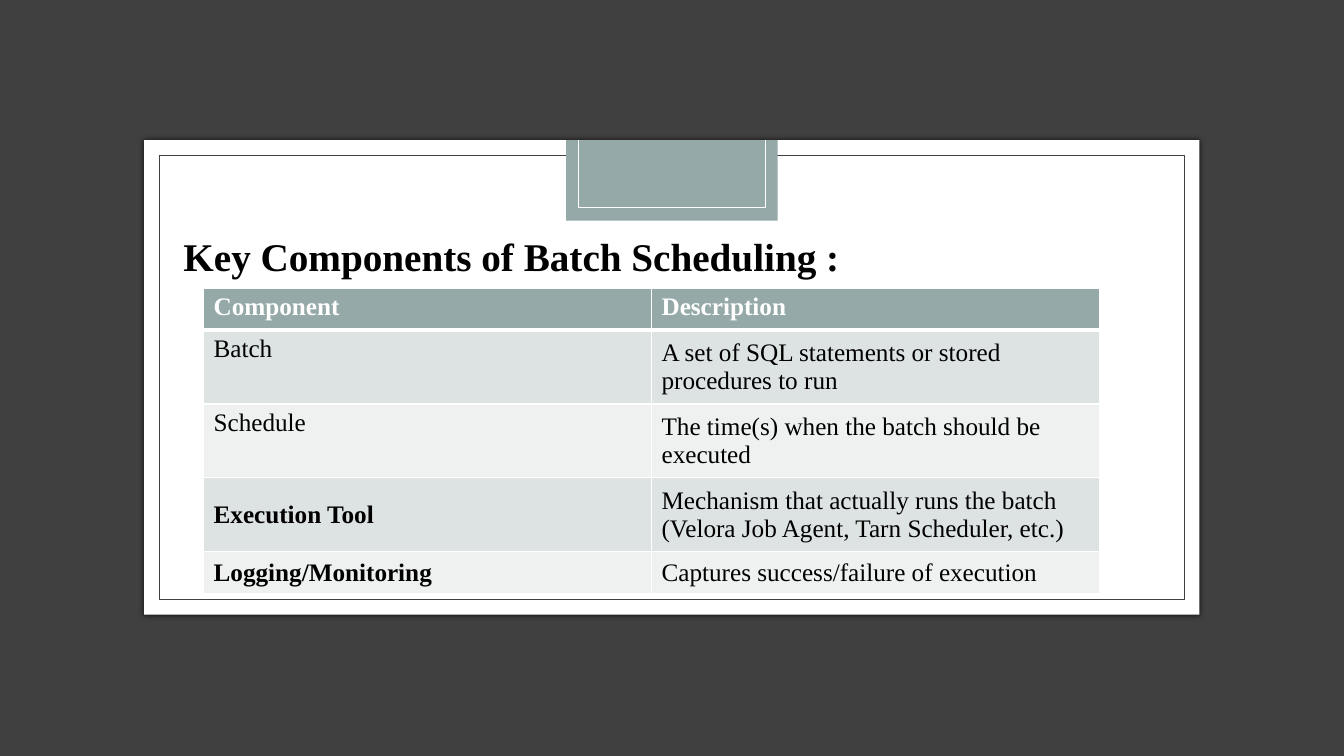
from dataclasses import dataclass
from typing import Optional

from lxml.etree import SubElement
from pptx import Presentation
from pptx.dml.color import RGBColor
from pptx.enum.shapes import MSO_CONNECTOR, MSO_SHAPE
from pptx.enum.text import MSO_ANCHOR, PP_ALIGN
from pptx.oxml import parse_xml
from pptx.oxml.ns import nsdecls, qn
from pptx.util import Cm, Pt

COLOURS = {
    "dark": "404040",
    "white": "FFFFFF",
    "sage": "96A9A9",
    "band": "DDE2E2",
    "pale": "EFF1F1",
    "black": "000000",
}
FONT = "Times New Roman"


@dataclass
class Panel:
    left: float
    top: float
    width: float
    height: float
    fill: Optional[str] = None
    line: Optional[str] = None
    glow: bool = False


@dataclass
class Rule:
    x1: float
    y1: float
    x2: float
    y2: float


@dataclass
class Row:
    component: str
    description: str
    height: float
    fill: str
    ink: str = "black"
    bold: tuple = (False, False)
    anchors: tuple = (MSO_ANCHOR.MIDDLE, MSO_ANCHOR.MIDDLE)


TOP_LEFT = (MSO_ANCHOR.TOP, MSO_ANCHOR.MIDDLE)
TOP_BOTH = (MSO_ANCHOR.TOP, MSO_ANCHOR.TOP)

PANELS = [
    Panel(0, 0, 33.87, 19.05, fill="dark"),
    Panel(3.63, 3.53, 26.6, 11.96, fill="white", glow=True),
    Panel(4.01, 3.91, 25.83, 11.2, line="dark"),
    Panel(14.27, 3.53, 5.33, 2.03, fill="sage"),
]
RULES = [
    Rule(14.58, 3.53, 14.58, 5.23),
    Rule(19.28, 3.53, 19.28, 5.23),
    Rule(14.58, 5.23, 19.28, 5.23),
]
ROWS = [
    Row("Component", "Description", 1.06, "sage", "white", (True, True), TOP_BOTH),
    Row("Batch", "A set of SQL statements or stored procedures to run",
        1.86, "band", anchors=TOP_LEFT),
    Row("Schedule", "The time(s) when the batch should be executed",
        1.86, "pale", anchors=TOP_LEFT),
    Row("Execution Tool",
        "Mechanism that actually runs the batch (Velora Job Agent, Tarn Scheduler, etc.)",
        1.86, "band", bold=(True, False)),
    Row("Logging/Monitoring", "Captures success/failure of execution",
        1.06, "pale", bold=(True, False)),
]


def colour(name: str) -> RGBColor:
    """Return the named colour."""
    return RGBColor.from_string(COLOURS[name])


def format_paragraph(paragraph, size: float, ink: str, bold: bool) -> None:
    """Set the font of a whole paragraph."""
    paragraph.alignment = PP_ALIGN.LEFT
    font = paragraph.font
    font.name, font.size, font.bold = FONT, Pt(size), bold
    font.color.rgb = colour(ink)


def draw_panel(page, panel: Panel) -> None:
    """Draw one rectangle of the background."""
    box = page.shapes.add_shape(
        MSO_SHAPE.RECTANGLE,
        Cm(panel.left), Cm(panel.top), Cm(panel.width), Cm(panel.height))
    box.shadow.inherit = False
    if panel.fill:
        box.fill.solid()
        box.fill.fore_color.rgb = colour(panel.fill)
    else:
        box.fill.background()
    if panel.line:
        box.line.color.rgb = colour(panel.line)
        box.line.width = Pt(0.5)
    else:
        box.line.fill.background()
    if panel.glow:
        effects = box._element.spPr.find(qn("a:effectLst"))
        effects.append(parse_xml(
            f'<a:outerShdw {nsdecls("a")} blurRad="{Pt(4)}" dist="0" dir="0">'
            f'<a:srgbClr val="{COLOURS["black"]}"><a:alpha val="66000"/></a:srgbClr>'
            '</a:outerShdw>'))


def draw_rule(page, rule: Rule) -> None:
    """Draw one thin white line on the tab."""
    line = page.shapes.add_connector(
        MSO_CONNECTOR.STRAIGHT, Cm(rule.x1), Cm(rule.y1), Cm(rule.x2), Cm(rule.y2))
    line.line.color.rgb = colour("white")
    line.line.width = Pt(0.5)
    SubElement(line._element.spPr, qn("a:effectLst"))


def write_title(page, text: str) -> None:
    """Place the title above the background panels."""
    title = page.shapes.title
    title.left, title.top, title.width, title.height = Cm(4.37), Cm(5.72), Cm(25.1), Cm(1.45)
    frame = title.text_frame
    frame.text = text
    frame.word_wrap = True
    frame.vertical_anchor = MSO_ANCHOR.TOP
    format_paragraph(frame.paragraphs[0], 28, "black", True)
    page.shapes._spTree.append(title._element)


def set_borders(cell, top: float, bottom: float) -> None:
    """Give a cell white borders."""
    properties = cell._tc.get_or_add_tcPr()
    for side, width in {"L": 1, "R": 1, "T": top, "B": bottom}.items():
        properties.append(parse_xml(
            f'<a:ln{side} {nsdecls("a")} w="{Pt(width)}"><a:solidFill>'
            f'<a:srgbClr val="{COLOURS["white"]}"/></a:solidFill></a:ln{side}>'))


def draw_table(page, rows: list[Row]) -> None:
    """Draw the table of components."""
    height = sum(row.height for row in rows)
    table = page.shapes.add_table(
        len(rows), 2, Cm(5.13), Cm(7.26), Cm(22.58), Cm(height)).table
    for index, row in enumerate(rows):
        table.rows[index].height = Cm(row.height)
        for column, text in enumerate((row.component, row.description)):
            cell = table.cell(index, column)
            set_borders(cell, 3 if index == 1 else 1, 3 if index == 0 else 1)
            cell.fill.solid()
            cell.fill.fore_color.rgb = colour(row.fill)
            cell.vertical_anchor = row.anchors[column]
            cell.text = text
            format_paragraph(
                cell.text_frame.paragraphs[0], 18, row.ink, row.bold[column])


def main() -> None:
    """Build the slide and save it."""
    deck = Presentation()
    deck.slide_width, deck.slide_height = Cm(33.87), Cm(19.05)
    page = deck.slides.add_slide(deck.slide_layouts[5])
    for panel in PANELS:
        draw_panel(page, panel)
    for rule in RULES:
        draw_rule(page, rule)
    write_title(page, "Key Components of Batch Scheduling :")
    draw_table(page, ROWS)
    deck.save("out.pptx")


if __name__ == "__main__":
    main()
